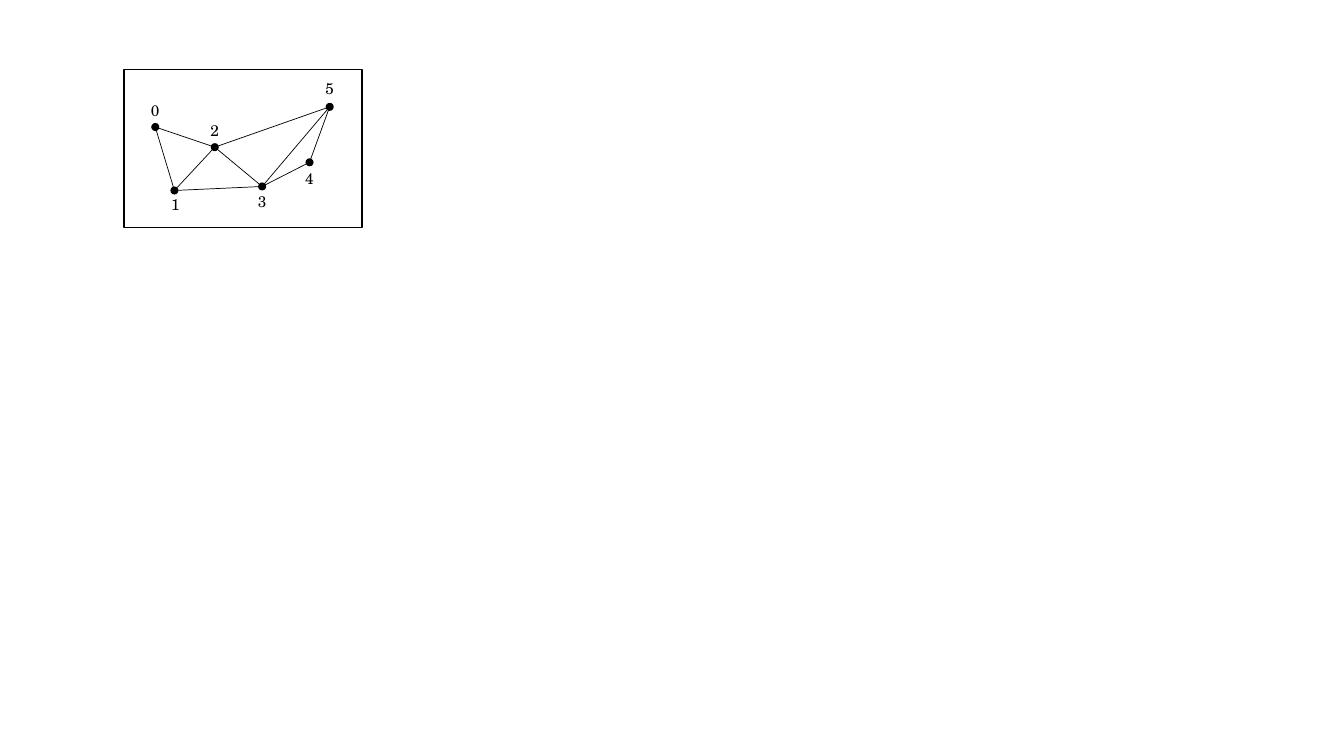
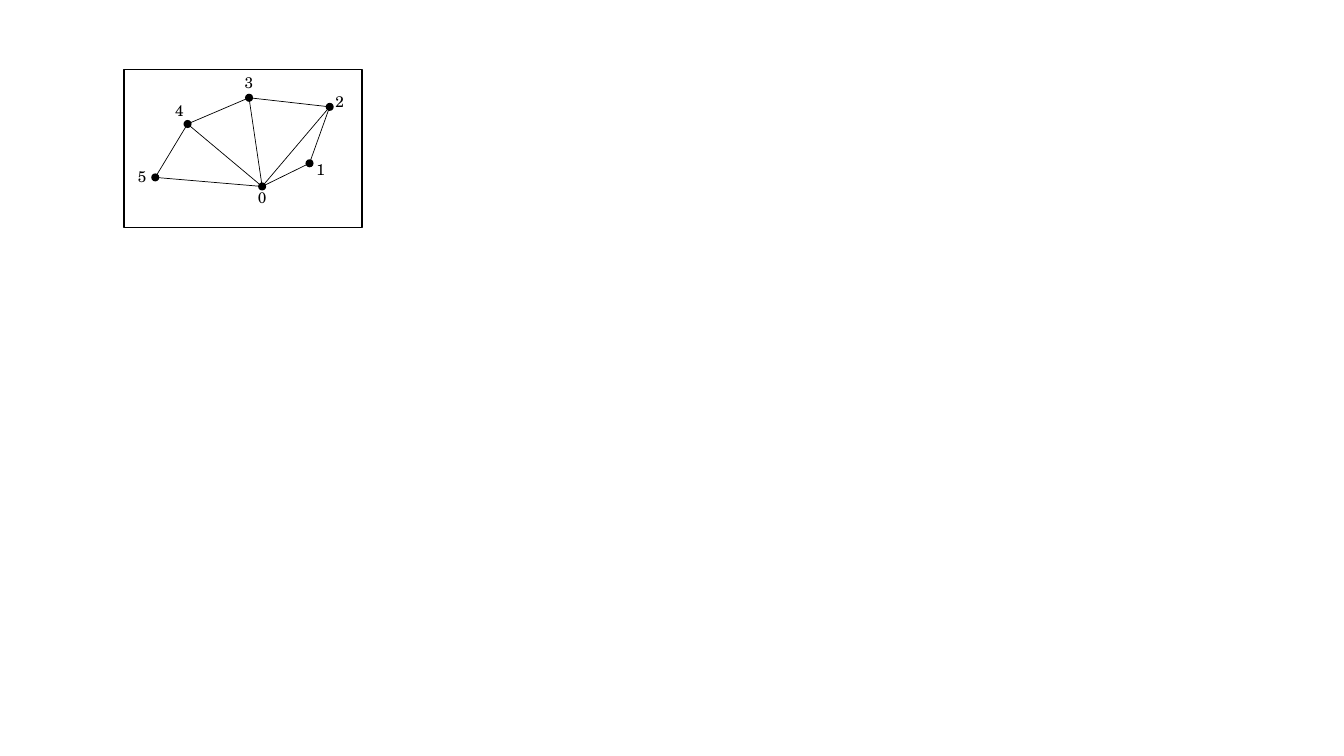
from lxml.etree import SubElement
from pptx import Presentation
from pptx.dml.color import RGBColor
from pptx.enum.shapes import MSO_CONNECTOR, MSO_SHAPE
from pptx.enum.text import MSO_AUTO_SIZE, PP_ALIGN
from pptx.oxml.ns import qn
from pptx.util import Inches, Pt

BLACK = RGBColor(0x00, 0x00, 0x00)
FONT = "TeX Gyre Schola"
FRAME = [Inches(v) for v in (1.23, 0.69, 2.36, 1.57)]
DOT = 0.08
LABEL_WIDTH, LABEL_HEIGHT = 0.3, 0.29

# Each graph lists its vertices in label order as
# (dot centre, label centre), and its edges as pairs of labels.
GRAPHS = [
    {
        "vertices": [
            ((1.54, 1.26), (1.54, 1.10)),
            ((1.73, 1.89), (1.74, 2.03)),
            ((2.13, 1.46), (2.13, 1.30)),
            ((2.60, 1.85), (2.60, 2.00)),
            ((3.07, 1.61), (3.07, 1.77)),
            ((3.27, 1.06), (3.27, 0.88)),
        ],
        "edges": [(0, 1), (5, 3), (4, 5), (1, 2), (3, 4),
                  (2, 0), (1, 3), (3, 2), (5, 2)],
    },
    {
        "vertices": [
            ((2.60, 1.85), (2.60, 1.96)),
            ((3.07, 1.62), (3.18, 1.68)),
            ((3.27, 1.06), (3.37, 1.01)),
            ((2.47, 0.97), (2.47, 0.82)),
            ((1.86, 1.23), (1.78, 1.10)),
            ((1.54, 1.76), (1.41, 1.75)),
        ],
        "edges": [(4, 5), (2, 0), (1, 2), (0, 4), (0, 1),
                  (4, 3), (0, 3), (2, 3), (0, 5)],
    },
]


def add_label(slide, text, center, size=11, font=FONT, color=BLACK,
              align=PP_ALIGN.CENTER):
    x, y = center
    label = slide.shapes.add_textbox(
        Inches(x - LABEL_WIDTH / 2), Inches(y - LABEL_HEIGHT / 2),
        Inches(LABEL_WIDTH), Inches(LABEL_HEIGHT))
    frame = label.text_frame
    frame.word_wrap = False
    frame.auto_size = MSO_AUTO_SIZE.SHAPE_TO_FIT_TEXT
    paragraph = frame.paragraphs[0]
    paragraph.alignment = align
    run = paragraph.add_run()
    run.text = text
    run.font.size = Pt(size)
    run.font.name = font
    run.font.color.rgb = color


prs = Presentation()
prs.slide_width = Inches(13.33)
prs.slide_height = Inches(7.5)
blank = prs.slide_layouts[6]

for graph in GRAPHS:
    slide = prs.slides.add_slide(blank)
    vertices = graph["vertices"]

    border = slide.shapes.add_shape(MSO_SHAPE.RECTANGLE, *FRAME)
    border.shadow.inherit = False
    border.fill.background()
    border.line.color.rgb = BLACK
    border.line.width = Pt(1)

    for start, end in graph["edges"]:
        ends = [Inches(v) for v in vertices[start][0] + vertices[end][0]]
        edge = slide.shapes.add_connector(MSO_CONNECTOR.STRAIGHT, *ends)
        edge.line.color.rgb = BLACK
        edge.line.width = Pt(0.5)
        SubElement(edge._element.spPr, qn("a:effectLst"))

    for (x, y), _ in vertices:
        dot = slide.shapes.add_shape(
            MSO_SHAPE.OVAL, Inches(x - DOT / 2), Inches(y - DOT / 2),
            Inches(DOT), Inches(DOT))
        dot.shadow.inherit = False
        dot.fill.solid()
        dot.fill.fore_color.rgb = BLACK
        dot.line.fill.background()

    for number, (_, label_center) in enumerate(vertices):
        add_label(slide, str(number), label_center)

prs.save("out.pptx")
